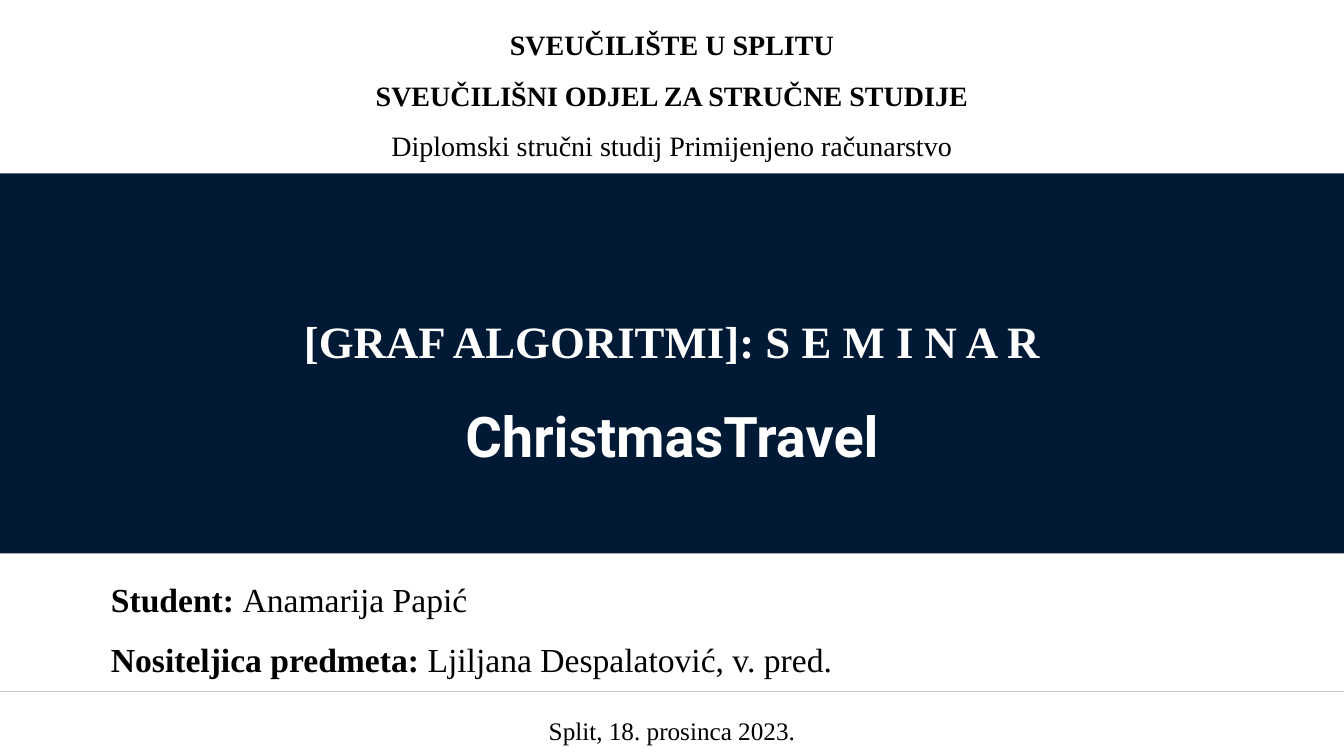
from pptx import Presentation, util as u
from pptx.dml.color import RGBColor
from pptx.enum import shapes, text

NAVY = RGBColor(0x00, 0x19, 0x35)
WHITE = RGBColor(0xFF, 0xFF, 0xFF)
BLACK = RGBColor(0x00, 0x00, 0x00)
SERIF = "Times New Roman"
WIDTH, HEIGHT = 13.33, 7.5
HEADER_H, PEOPLE_TOP, FOOTER_TOP = 1.72, 5.49, 6.86


def place(sp, box, anchor, fill=None):
    sp.left, sp.top, sp.width, sp.height = (u.Inches(n) for n in box)
    if fill is not None:
        sp.fill.solid()
        sp.fill.fore_color.rgb = fill
    tf = sp.text_frame
    tf.word_wrap = True
    tf.auto_size = text.MSO_AUTO_SIZE.NONE
    tf.vertical_anchor = anchor
    return tf


def add_band(s, box, anchor):
    sp = s.shapes.add_shape(shapes.MSO_SHAPE.RECTANGLE, 0, 0, 0, 0)
    sp.shadow.inherit = False
    sp.line.fill.background()
    tf = place(sp, box, anchor, WHITE)
    tf.margin_left = tf.margin_right = u.Inches(0.1)
    tf.margin_top = tf.margin_bottom = u.Inches(0.1)
    return tf


def style(p, size, color=BLACK, spacing=1.5, align=text.PP_ALIGN.CENTER):
    p.alignment = align
    p.line_spacing = spacing
    p.space_before = u.Pt(0)
    p.font.size = u.Pt(size)
    p.font.name = SERIF
    p.font.color.rgb = color


def add_run(p, words, bold):
    r = p.add_run()
    r.text = words
    r.font.bold = bold
    return r


# University and study programme
def header(s, box):
    tf = add_band(s, box, text.MSO_ANCHOR.MIDDLE)
    p = tf.paragraphs[0]
    add_run(p, "SVEUČILIŠTE U SPLITU", True)
    style(p, 20)
    p = tf.add_paragraph()
    add_run(p, "SVEUČILIŠNI ODJEL ZA STRUČNE STUDIJE", True)
    p.add_line_break()
    add_run(p, "Diplomski stručni studij Primijenjeno računarstvo", False)
    style(p, 20)


# Course and seminar name
def title(s, box):
    p = place(s.shapes.title, box, text.MSO_ANCHOR.MIDDLE).paragraphs[0]
    add_run(p, "[GRAF ALGORITMI]: S E M I N A R", True)
    p.add_line_break()
    name = add_run(p, "ChristmasTravel", True)
    name.font.size = u.Pt(40)
    name.font.name = "Roboto"
    style(p, 32, WHITE)


# Student and lecturer
def people(s, box):
    tf = place(s.placeholders[1], box, text.MSO_ANCHOR.TOP, WHITE)
    tf.margin_left = u.Inches(1.1)
    p = tf.paragraphs[0]
    add_run(p, "Student: ", True)
    add_run(p, "Anamarija Papić", False)
    p.add_line_break()
    add_run(p, "Nositeljica predmeta: ", True)
    add_run(p, "Ljiljana Despalatović, v. pred.", False)
    style(p, 24, align=text.PP_ALIGN.LEFT)


# Place and date
def footer(s, box):
    p = add_band(s, box, text.MSO_ANCHOR.BOTTOM).paragraphs[0]
    add_run(p, "Split, 18. prosinca 2023.", False)
    style(p, 18, spacing=1.4)


def main():
    prs = Presentation()
    prs.slide_width, prs.slide_height = u.Inches(WIDTH), u.Inches(HEIGHT)
    s = prs.slides.add_slide(prs.slide_layouts[0])
    s.background.fill.solid()
    s.background.fill.fore_color.rgb = NAVY
    title(s, (0.95, 2.67, WIDTH - 2 * 0.95, 2.15))
    people(s, (0, PEOPLE_TOP, WIDTH, FOOTER_TOP - PEOPLE_TOP))
    header(s, (0, 0, WIDTH, HEADER_H))
    footer(s, (0, FOOTER_TOP, WIDTH, HEIGHT - FOOTER_TOP))
    prs.save("out.pptx")


if __name__ == "__main__":
    main()
